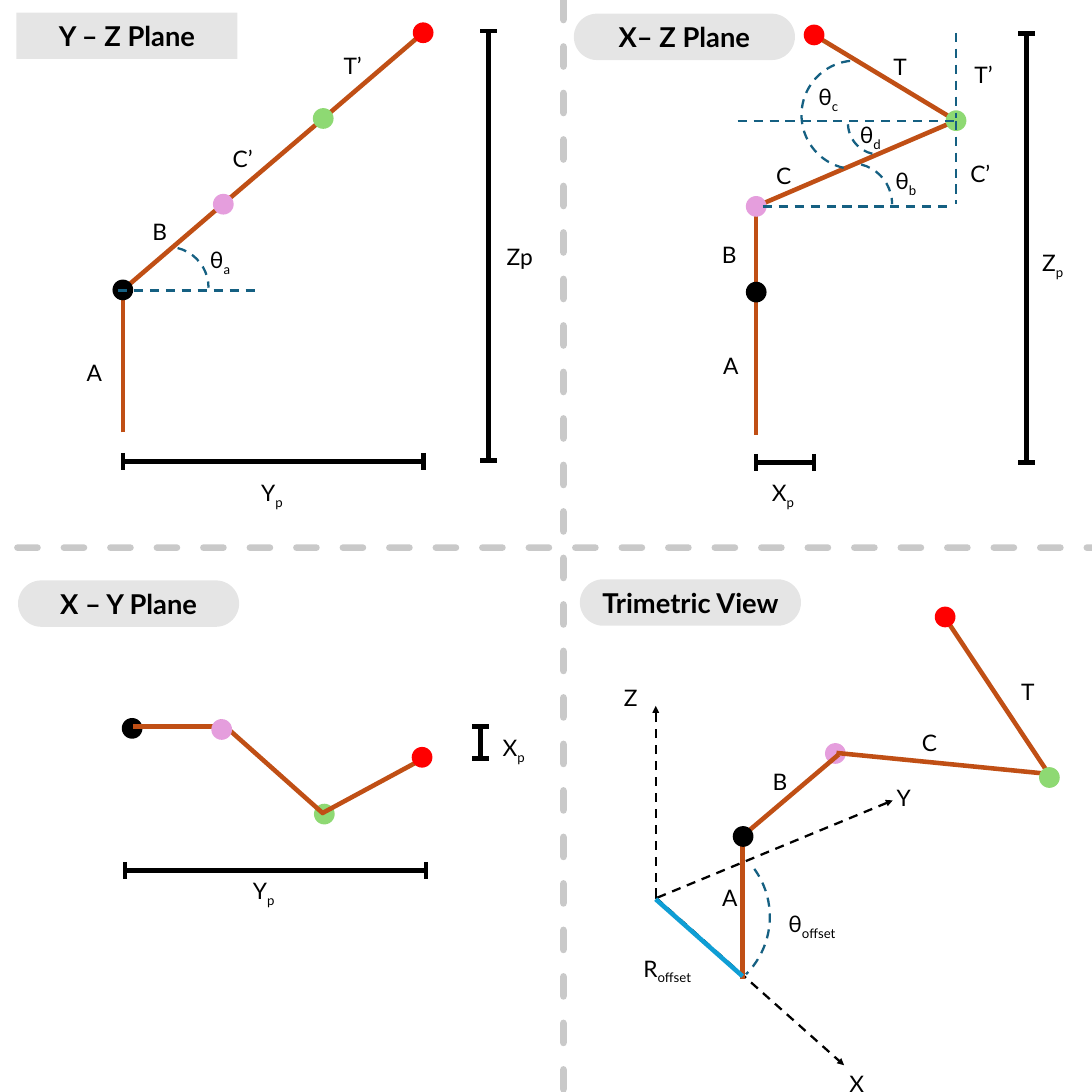
from lxml.etree import SubElement
from pptx import Presentation
from pptx.dml.color import RGBColor
from pptx.enum.dml import MSO_LINE
from pptx.enum.shapes import MSO_CONNECTOR, MSO_SHAPE
from pptx.enum.text import MSO_ANCHOR, MSO_AUTO_SIZE, PP_ALIGN
from pptx.oxml.ns import qn
from pptx.util import Inches, Pt

BLACK = RGBColor(0x00, 0x00, 0x00)
GREY = RGBColor(0x74, 0x74, 0x74)
RUST = RGBColor(0xC0, 0x4F, 0x15)
TEAL = RGBColor(0x15, 0x60, 0x82)
BLUE = RGBColor(0x0F, 0x9E, 0xD5)
PINK = RGBColor(0xE5, 0x9E, 0xDD)
GREEN = RGBColor(0x8E, 0xD9, 0x73)
RED = RGBColor(0xFF, 0x00, 0x00)

JOINT_SIZE = 0.38
CAP_REACH = 0.155
PILL_SIZE = (4.05, 0.85)
FRAME = {
    "word_wrap": True, "auto_size": MSO_AUTO_SIZE.NONE,
    "margin_left": 0, "margin_right": 0, "margin_top": 0, "margin_bottom": 0,
}
LABEL_FONT = {"name": "Lato", "size": Pt(30), "bold": False}
HEADING_FONT = {"name": "Lato", "size": Pt(36), "bold": True}

FIRST_HEADING = ("Y – Z Plane", 0.3, 0.23)
OTHER_HEADINGS = [
    ("X– Z Plane", 10.51, 0.25),
    ("X – Y Plane", 0.33, 10.63),
    ("Trimetric View", 10.62, 10.61),
]
DIVIDERS = [((10.32, 0), (10.32, 20)), ((0.32, 10.03), (20, 10.03))]

LOWER_JOINTS = [
    (BLACK, 2.42, 13.34), (GREEN, 5.94, 14.91), (PINK, 15.3, 13.8),
]
LINK_CHAINS = [
    [(2.25, 7.92), (2.25, 5.31), (4.08, 3.74), (5.92, 2.17), (7.75, 0.6)],
    [(13.85, 7.96), (13.85, 5.35), (13.85, 3.78), (17.51, 2.21), (14.91, 0.64)],
    [(2.44, 13.31), (4.05, 13.31)],
    [(4.01, 13.2), (5.92, 14.9)],
    [(5.89, 14.9), (7.76, 13.89)],
    [(15.32, 13.79), (19.26, 14.18)],
    [(19.18, 14.13), (17.32, 11.33)],
    [(13.52, 15.38), (15.36, 13.82)],
    [(13.6, 17.93), (13.6, 15.32)],
]
UPPER_JOINTS = [
    (BLACK, 2.25, 5.31), (PINK, 4.09, 3.74), (GREEN, 5.92, 2.17), (RED, 7.75, 0.6),
    (BLACK, 13.85, 5.35), (PINK, 13.85, 3.78), (GREEN, 17.51, 2.21), (RED, 14.91, 0.64),
    (PINK, 4.06, 13.36), (RED, 7.73, 13.87),
    (GREEN, 19.22, 14.24), (RED, 17.31, 11.3), (BLACK, 13.61, 15.32),
]
GUIDES = [
    ((2.16, 5.32), (4.67, 5.32)), ((13.97, 3.78), (17.47, 3.78)),
    ((17.51, 2.21), (17.51, 3.74)), ((17.51, 0.6), (17.51, 2.16)),
    ((13.51, 2.21), (17.54, 2.21)),
]
AXES = [
    ((12.01, 16.44), (12.01, 12.93)), ((12.01, 16.44), (15.46, 19.51)),
    ((12.04, 16.44), (16.35, 14.66)),
]
OFFSET_LINK = ((13.6, 17.88), (12.01, 16.47))
DIMENSIONS = [
    ((2.25, 8.45), (7.76, 8.45)), ((8.95, 8.43), (8.95, 0.57)),
    ((13.85, 8.47), (14.91, 8.47)), ((18.8, 8.47), (18.8, 0.61)),
    ((2.29, 15.94), (7.8, 15.94)), ((8.8, 13.31), (8.8, 13.89)),
]
ANGLES = [
    (2.32, 4.52, 1.5, 284.22, 0), (14.84, 2.99, 1.5, 284.22, 0),
    (14.68, 1.11, 1.99, 102.93, 266.69), (15.53, 1.68, 1.15, 102.93, 179.46),
    (11.12, 15.3, 2.98, 324.01, 45),
]
LABELS = [
    ("A", "", 1.58, 6.57, 0.29), ("B", "", 2.78, 3.98, 0.29),
    ("C’", "", 4.08, 2.65, 0.73), ("T’", "", 6.25, 0.94, 0.42),
    ("θ", "a", 3.45, 4.51, 1.16), ("Y", "p", 4.23, 8.77, 1.5),
    ("Zp", "", 8.77, 4.45, 1.5),
    ("A", "", 13.24, 6.44, 0.29), ("B", "", 13.03, 4.41, 0.65),
    ("C", "", 14.03, 2.97, 0.65), ("T", "", 16.14, 0.97, 0.69),
    ("C’", "", 17.63, 2.92, 0.65), ("T’", "", 17.69, 1.11, 0.65),
    ("θ", "b", 16.01, 3.06, 1.16), ("θ", "c", 14.59, 1.52, 1.16),
    ("θ", "d", 15.36, 2.22, 1.16), ("X", "p", 13.59, 8.77, 1.5),
    ("Z", "p", 18.53, 4.56, 1.5),
    ("X", "p", 8.66, 13.44, 1.5), ("Y", "p", 4.08, 16.06, 1.5),
    ("A", "", 13.22, 16.18, 0.29), ("B", "", 14.14, 14.07, 0.29),
    ("C", "", 16.66, 13.35, 0.73), ("T", "", 18.46, 12.42, 0.73),
    ("X", "", 14.94, 19.6, 1.5), ("Y", "", 15.8, 14.35, 1.5),
    ("Z", "", 10.8, 12.52, 1.5),
    ("θ", "offset", 14.29, 16.67, 1.16), ("R", "offset", 11.64, 17.48, 1.16),
]


def inches(*values):
    """Convert numbers to lengths."""
    return [Inches(value) for value in values]


def set_all(target, values):
    """Set every attribute named in a dict."""
    for name, value in values.items():
        setattr(target, name, value)


def set_alpha(shape, percent):
    """Make the colour of a shape partly transparent."""
    colour = shape.element.spPr.find(".//" + qn("a:srgbClr"))
    SubElement(colour, qn("a:alpha"), val=str(percent * 1000))


def write(shape, text, font, anchor, subscript=""):
    """Write a centred line of text with an optional subscript."""
    frame = shape.text_frame
    set_all(frame, FRAME | {"vertical_anchor": anchor})
    para = frame.paragraphs[0]
    para.alignment = PP_ALIGN.CENTER
    for part in filter(None, (text, subscript)):
        span = para.add_run()
        span.text = part
        set_all(span.font, font)
        span.font.color.rgb = BLACK
    if subscript:
        span.font._element.set("baseline", "-25000")


def format_heading(shape, text):
    """Give a heading its pale fill and bold text."""
    shape.fill.solid()
    shape.fill.fore_color.rgb = BLACK
    set_alpha(shape, 10)
    shape.line.fill.background()
    write(shape, text, HEADING_FONT, MSO_ANCHOR.MIDDLE)


def fill_title(title, text, left, top):
    """Turn the title placeholder into the first pill heading."""
    names = ("left", "top", "width", "height")
    set_all(title, dict(zip(names, inches(left, top, *PILL_SIZE))))
    geometry = SubElement(title.element.spPr, qn("a:prstGeom"), prst="roundRect")
    guides = SubElement(geometry, qn("a:avLst"))
    SubElement(guides, qn("a:gd"), name="adj", fmla="val 50000")
    format_heading(title, text)


def add_heading(shapes, text, left, top):
    """Add a pill heading."""
    pill = shapes.add_shape(MSO_SHAPE.ROUNDED_RECTANGLE, *inches(left, top, *PILL_SIZE))
    pill.adjustments[0] = 0.5
    pill.shadow.inherit = False
    format_heading(pill, text)


def add_line(shapes, start, end, colour, width=6, dashed=False, arrow=False):
    """Add a straight line and return it."""
    line = shapes.add_connector(MSO_CONNECTOR.STRAIGHT, *inches(*start, *end))
    line.line.color.rgb = colour
    line.line.width = Pt(width)
    if dashed:
        line.line.dash_style = MSO_LINE.DASH
    if arrow:
        SubElement(line.element.spPr.find(qn("a:ln")), qn("a:tailEnd"), type="triangle")
    SubElement(line.element.spPr, qn("a:effectLst"))
    return line


def add_divider(shapes, start, end):
    """Add a round-capped dashed divider."""
    line = add_line(shapes, start, end, GREY, 8.75, dashed=True)
    line.element.spPr.find(qn("a:ln")).set("cap", "rnd")
    set_alpha(line, 38)


def add_joint(shapes, colour, x, y):
    """Add a round joint centred on a point."""
    corner = (x - JOINT_SIZE / 2, y - JOINT_SIZE / 2)
    joint = shapes.add_shape(MSO_SHAPE.OVAL, *inches(*corner, JOINT_SIZE, JOINT_SIZE))
    joint.shadow.inherit = False
    joint.fill.solid()
    joint.fill.fore_color.rgb = colour
    joint.line.fill.background()


def add_dimension(shapes, start, end):
    """Add a grouped dimension bar with a cap at each end."""
    group = shapes.add_group_shape().shapes
    add_line(group, start, end, BLACK)
    dx, dy = (CAP_REACH, 0) if start[0] == end[0] else (0, CAP_REACH)
    for x, y in (start, end):
        add_line(group, (x - dx, y - dy), (x + dx, y + dy), BLACK)


def add_angle(shapes, left, top, size, start, end):
    """Add a dashed arc between two angles in degrees."""
    arc = shapes.add_shape(MSO_SHAPE.ARC, *inches(left, top, size, size))
    for index, degrees in enumerate((start, end)):
        arc.adjustments[index] = degrees * 0.6
    arc.shadow.inherit = False
    arc.fill.background()
    arc.line.color.rgb = TEAL
    set_all(arc.line, {"width": Pt(3), "dash_style": MSO_LINE.DASH})


def add_label(shapes, text, subscript, left, top, width):
    """Add a text label."""
    box = shapes.add_textbox(*inches(left, top, width, 0.5))
    write(box, text, LABEL_FONT, MSO_ANCHOR.TOP, subscript)


def main():
    """Build the four views of the arm and save the deck."""
    deck = Presentation()
    deck.slide_width, deck.slide_height = inches(20, 20)
    page = deck.slides.add_slide(deck.slide_layouts[5])
    shapes = page.shapes
    fill_title(shapes.title, *FIRST_HEADING)
    links = [pair for chain in LINK_CHAINS for pair in zip(chain, chain[1:])]
    layers = [
        (add_heading, OTHER_HEADINGS, {}),
        (add_divider, DIVIDERS, {}),
        (add_line, AXES, {"colour": BLACK, "width": 3, "dashed": True, "arrow": True}),
        (add_joint, LOWER_JOINTS, {}),
        (add_line, links, {"colour": RUST}),
        (add_joint, UPPER_JOINTS, {}),
        (add_line, [OFFSET_LINK], {"colour": BLUE}),
        (add_line, GUIDES, {"colour": TEAL, "width": 3, "dashed": True}),
        (add_angle, ANGLES, {}),
        (add_dimension, DIMENSIONS, {}),
        (add_label, LABELS, {}),
    ]
    for add, items, options in layers:
        for item in items:
            add(shapes, *item, **options)
    deck.save("out.pptx")


if __name__ == "__main__":
    main()
